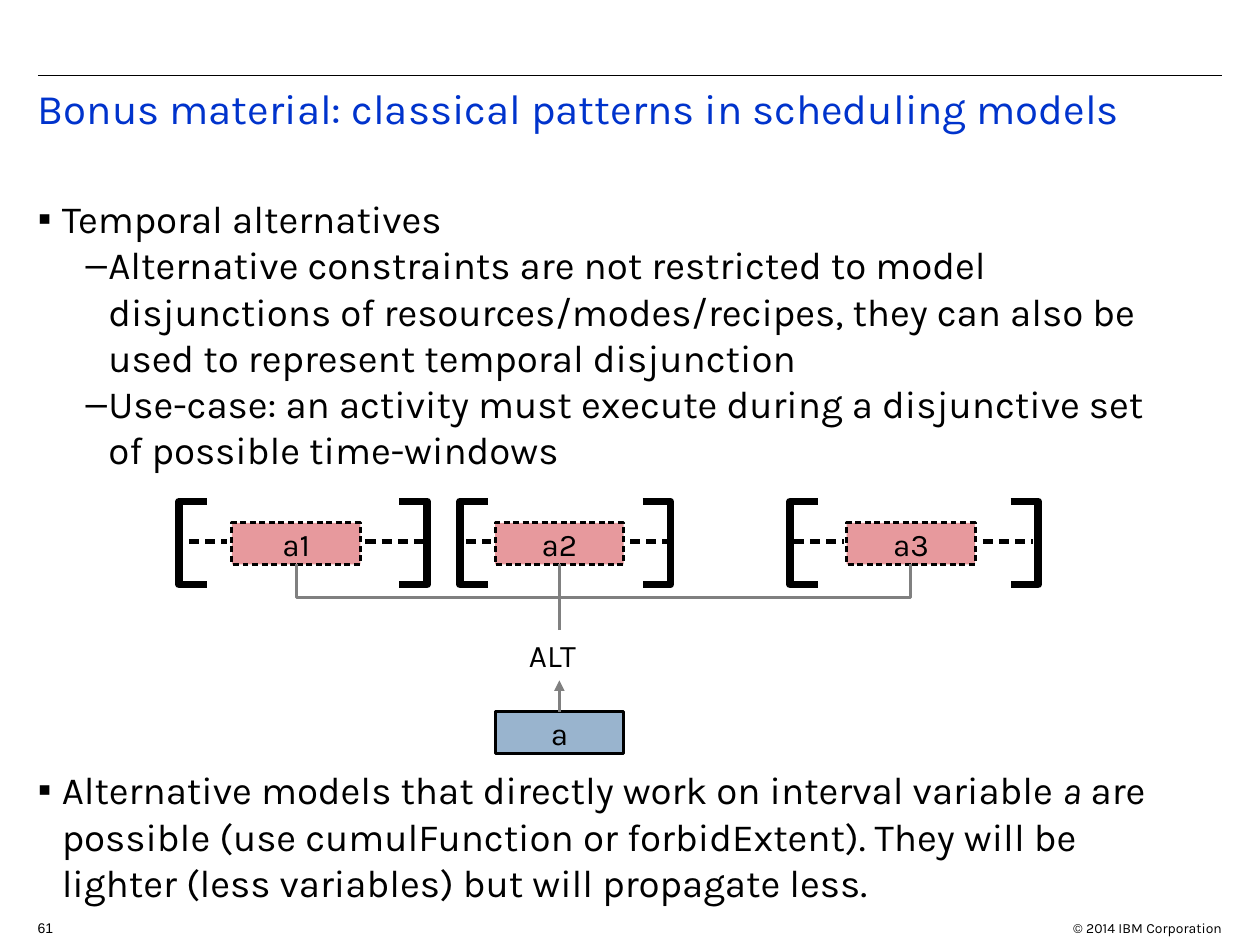
from lxml import etree
from pptx import Presentation
from pptx.dml.color import RGBColor
from pptx.enum.shapes import MSO_CONNECTOR as Link, MSO_SHAPE as Preset
from pptx.enum.text import MSO_ANCHOR as Anchor, MSO_AUTO_SIZE as AutoSize, PP_ALIGN as Align
from pptx.oxml.ns import qn
from pptx.util import Inches, Pt

THEME = {
    "font": "Karla", "number_font": "Arial",
    "black": "000000", "title": "0033CC", "link": "808080",
    "optional": "C5000B", "master": "004586", "opacity": 40,
    "title_size": 24, "body_size": 22, "label_size": 18, "footer_size": 8,
    "outline": 1.7, "bracket": 4.31, "dash": 2.89, "rule": 0.75,
}

TITLE = "Bonus material: classical patterns in scheduling models"
# (level, space before in points, [(text, italic)])
BODY = [
    (0, 0, [("Temporal alternatives", False)]),
    (1, 0, [("Alternative constraints are not restricted to model disjunctions of "
             "resources/modes/recipes, they can also be used to represent temporal "
             "disjunction", False)]),
    (1, 0, [("Use-case: an activity must execute during a disjunctive set of "
             "possible time-windows", False)]),
    (0, 168, [("Alternative models that directly work on interval variable ", False),
              ("a", True),
              (" are possible (use cumulFunction or forbidExtent). They will be lighter "
               "(less variables) but will propagate less.", False)]),
]
BULLETS = [("▪", 0.19, -0.19), ("–", 0.56, -0.18)]  # symbol, margin, hanging indent

# label, interval left, window left and right, dashed spans
WINDOWS = [
    ("a1", 1.84, (1.42, 3.39), [(1.5, 1.8), (2.9, 3.4)]),
    ("a2", 3.93, (3.65, 5.32), [(3.7, 3.9), (5.0, 5.3)]),
    ("a3", 6.72, (6.27, 8.24), [(6.3, 6.7), (7.8, 8.2)]),
]
INTERVAL_WIDTH, INTERVAL_HEIGHT = 1.02, 0.33
INTERVAL_TOP, MASTER_TOP, MASTER_LEFT = 4.15, 5.65, 3.93
WINDOW_TOP, WINDOW_BOTTOM, BRACKET_ARM = 3.98, 4.64, 0.22
DASH_Y, STEM_BOTTOM, ARROW_TIP = 4.3, 5.0, 5.4
CENTER = MASTER_LEFT + INTERVAL_WIDTH / 2
INTERVAL_BOTTOM = INTERVAL_TOP + INTERVAL_HEIGHT


def color(name):
    return RGBColor.from_string(THEME[name])


def add_run(paragraph, text, size, tone="black", font="font", italic=False):
    run = paragraph.add_run()
    run.text = text
    run.font.name, run.font.size = THEME[font], Pt(THEME[size])
    run.font.color.rgb = color(tone)
    run.font.italic = italic


def place(shape, left, top, width, height):
    shape.left, shape.top = Inches(left), Inches(top)
    shape.width, shape.height = Inches(width), Inches(height)
    frame = shape.text_frame
    frame.word_wrap, frame.auto_size = True, AutoSize.NONE
    frame.vertical_anchor = Anchor.TOP
    return frame


def set_line(shape, tone, width, dashed=False):
    shape.line.color.rgb = color(tone)
    shape.line.width = Pt(THEME[width])
    if dashed:
        dashes = etree.SubElement(shape.line._get_or_add_ln(), qn("a:custDash"))
        etree.SubElement(dashes, qn("a:ds"), d="200000", sp="120000")


def add_link(shapes, start, end, tone, width, kind=Link.STRAIGHT, dashed=False):
    link = shapes.add_connector(kind, *(Inches(value) for value in (*start, *end)))
    set_line(link, tone, width, dashed)
    etree.SubElement(link._element.spPr, qn("a:effectLst"))
    return link


def add_tree_branch(shapes, x):
    """Elbow that leaves an interval downwards: a turned box between x and CENTER."""
    middle_x, middle_y = (x + CENTER) / 2, (INTERVAL_BOTTOM + STEM_BOTTOM) / 2
    half_width, half_height = (STEM_BOTTOM - INTERVAL_BOTTOM) / 2, abs(CENTER - x) / 2
    side = 1 if x < CENTER else -1
    link = add_link(shapes,
                    (middle_x + side * half_width, middle_y - half_height),
                    (middle_x - side * half_width, middle_y + half_height),
                    "link", "outline", Link.ELBOW)
    turn = 270 if x < CENTER else 90
    link._element.spPr.find(qn("a:xfrm")).set("rot", str(turn * 60000))


def add_interval(shapes, label, left, top, tone, dashed):
    box = shapes.add_shape(Preset.RECTANGLE, Inches(left), Inches(top),
                           Inches(INTERVAL_WIDTH), Inches(INTERVAL_HEIGHT))
    box.shadow.inherit = False
    box.fill.solid()
    box.fill.fore_color.rgb = color(tone)
    fill_color = box._element.spPr.find(qn("a:solidFill"))[0]
    etree.SubElement(fill_color, qn("a:alpha"), val=str(THEME["opacity"] * 1000))
    set_line(box, "black", "outline", dashed)
    frame = box.text_frame
    frame.vertical_anchor = Anchor.MIDDLE
    frame.paragraphs[0].alignment = Align.CENTER
    add_run(frame.paragraphs[0], label, "label_size")


def add_bracket(shapes, x, arm):
    builder = shapes.build_freeform(Inches(x + arm), Inches(WINDOW_TOP))
    builder.add_line_segments([(Inches(x), Inches(WINDOW_TOP)),
                               (Inches(x), Inches(WINDOW_BOTTOM)),
                               (Inches(x + arm), Inches(WINDOW_BOTTOM))], close=False)
    bracket = builder.convert_to_shape()
    bracket.shadow.inherit = False
    bracket.fill.background()
    set_line(bracket, "black", "bracket")


def add_label(shapes, box, text, size, font="font", align=Align.LEFT):
    frame = place(shapes.add_textbox(0, 0, 0, 0), *box)
    frame.paragraphs[0].alignment = align
    add_run(frame.paragraphs[0], text, size, font=font)


def fill_body(frame):
    for index, (level, space, runs) in enumerate(BODY):
        paragraph = frame.paragraphs[0] if index == 0 else frame.add_paragraph()
        paragraph.level = level
        paragraph.alignment = Align.LEFT
        paragraph.space_before = Pt(space)
        symbol, margin, indent = BULLETS[level]
        properties = paragraph._p.get_or_add_pPr()
        properties.set("marL", str(Inches(margin)))
        properties.set("indent", str(Inches(indent)))
        bullet_color = etree.SubElement(properties, qn("a:buClr"))
        etree.SubElement(bullet_color, qn("a:srgbClr"), val=THEME["black"])
        etree.SubElement(properties, qn("a:buFont"), typeface=THEME["number_font"])
        etree.SubElement(properties, qn("a:buChar"), char=symbol)
        for text, italic in runs:
            add_run(paragraph, text, "body_size", italic=italic)


def add_diagram(shapes):
    for label, left, (start, end), spans in WINDOWS:
        add_bracket(shapes, start, BRACKET_ARM)
        add_bracket(shapes, end, -BRACKET_ARM)
        for span_start, span_end in spans:
            add_link(shapes, (span_start, DASH_Y), (span_end, DASH_Y),
                     "black", "dash", dashed=True)
        add_interval(shapes, label, left, INTERVAL_TOP, "optional", True)
    add_interval(shapes, "a", MASTER_LEFT, MASTER_TOP, "master", False)

    for _, left, _, _ in WINDOWS:
        if left == MASTER_LEFT:
            add_link(shapes, (CENTER, STEM_BOTTOM), (CENTER, INTERVAL_BOTTOM),
                     "link", "outline")
        else:
            add_tree_branch(shapes, left + INTERVAL_WIDTH / 2)
    add_label(shapes, (4.1, 5, 0.66, 0.4), "ALT", "label_size")
    arrow = add_link(shapes, (CENTER, MASTER_TOP), (CENTER, ARROW_TIP), "link", "outline")
    etree.SubElement(arrow.line._get_or_add_ln(), qn("a:tailEnd"), type="triangle")


def main():
    presentation = Presentation()
    presentation.slide_width, presentation.slide_height = Inches(10), Inches(7.5)
    slide = presentation.slides.add_slide(presentation.slide_layouts[1])
    shapes = slide.shapes

    add_link(shapes, (0.3, 0.6), (9.7, 0.6), "black", "rule")
    title = place(shapes.title, 0.2, 0.65, 9.8, 0.7).paragraphs[0]
    title.alignment, title.line_spacing = Align.LEFT, 0.9
    add_run(title, TITLE, "title_size", "title")
    fill_body(place(slide.placeholders[1], 0.2, 1.5, 9.3, 5.9))
    add_diagram(shapes)
    add_label(shapes, (8.3, 7.25, 1.5, 0.2), "© 2014 IBM Corporation", "footer_size",
              align=Align.RIGHT)
    add_label(shapes, (0.2, 7.25, 0.4, 0.23), "61", "footer_size", "number_font")
    presentation.save("out.pptx")


if __name__ == "__main__":
    main()
